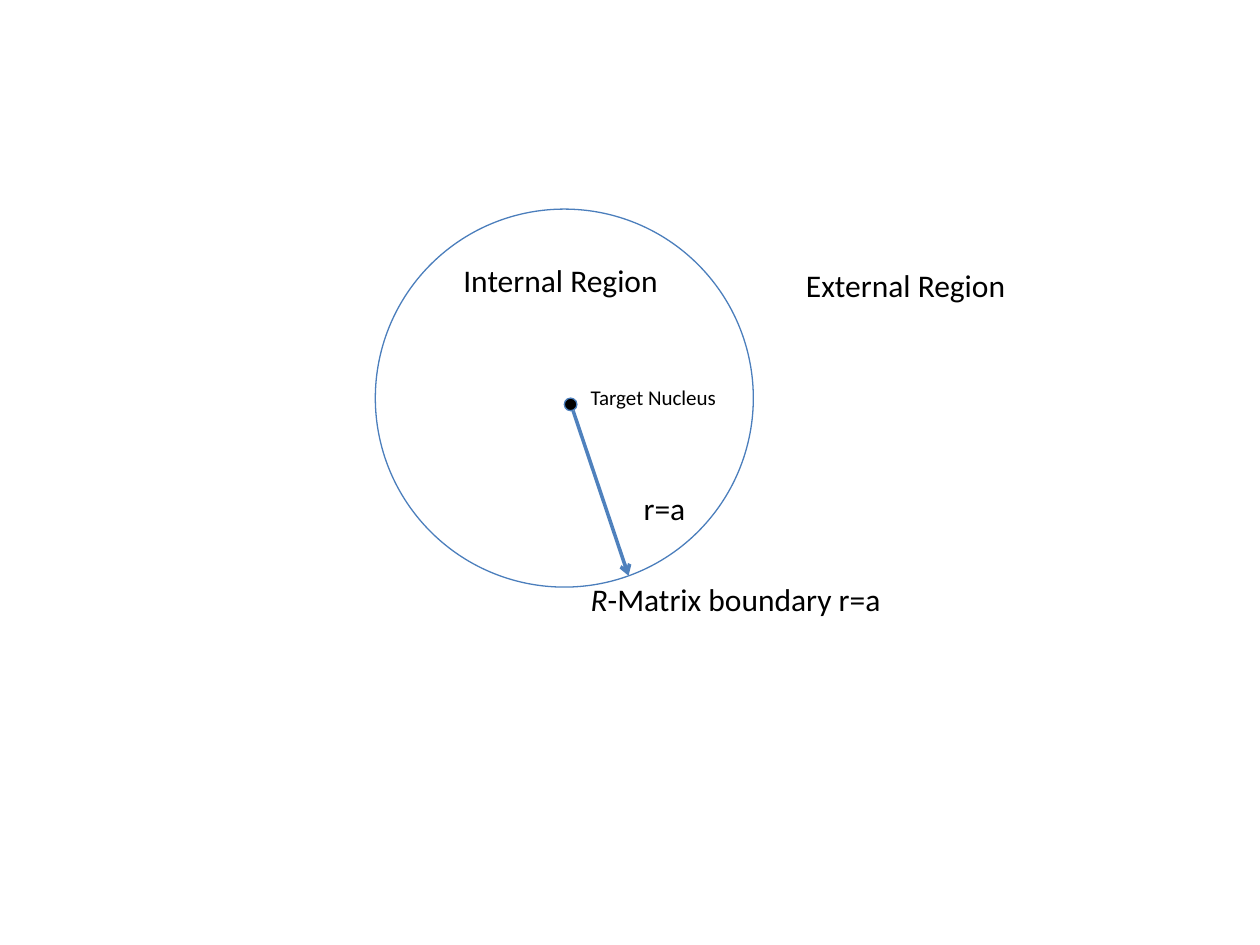
from lxml.etree import SubElement
from pptx import Presentation
from pptx.dml.color import RGBColor
from pptx.enum.shapes import MSO_CONNECTOR as Connector, MSO_SHAPE as Preset
from pptx.enum.text import MSO_AUTO_SIZE as AutoSize
from pptx.oxml.ns import qn
from pptx.util import Pt

BLACK = RGBColor(0x00, 0x00, 0x00)
WHITE = RGBColor(0xFF, 0xFF, 0xFF)
OUTLINE_BLUE = RGBColor(0x4B, 0x7E, 0xBC)
ARROW_BLUE = RGBColor(0x4F, 0x81, 0xBD)

LABELS = [
    ((43.2, 25.9, 128.9, 29), 18, True, [("Internal Region", False)]),
    ((115.9, 96.5, 87.8, 21.8), 12, True, [("Target Nucleus", False)]),
    ((239, 28.8, 149, 29), 18, True, [("External Region", False)]),
    ((115.9, 208.1, 182.2, 29), 18, False,
     [("R", True), ("-Matrix boundary r=a", False)]),
    ((146.2, 156.2, 52.6, 29), 18, True, [("r=a", False)]),
]


def apply_format(target, values):
    for name, value in values.items():
        setattr(target, name, value)


def add_circle(slide, left, top, diameter, fill):
    shape = slide.shapes.add_shape(
        Preset.OVAL, Pt(left), Pt(top), Pt(diameter), Pt(diameter))
    shape.shadow.inherit = False
    shape.fill.solid()
    shape.fill.fore_color.rgb = fill
    shape.line.color.rgb = OUTLINE_BLUE
    shape.line.width = Pt(0.75)


def add_label(slide, left, top, width, height, size, wrap, runs):
    shape = slide.shapes.add_textbox(Pt(left), Pt(top), Pt(width), Pt(height))
    apply_format(shape.text_frame, {
        "word_wrap": wrap, "auto_size": AutoSize.SHAPE_TO_FIT_TEXT})
    paragraph = shape.text_frame.paragraphs[0]
    for text, italic in runs:
        run = paragraph.add_run()
        run.text = text
        apply_format(run.font, {
            "name": "Calibri", "size": Pt(size), "italic": italic})
        run.font.color.rgb = BLACK


def add_radius_arrow(slide, start, end):
    connector = slide.shapes.add_connector(
        Connector.STRAIGHT, *(Pt(value) for value in start + end))
    connector.line.color.rgb = ARROW_BLUE
    connector.line.width = Pt(2)
    SubElement(connector.line._get_or_add_ln(), qn("a:tailEnd"), type="arrow")
    SubElement(connector._element.spPr, qn("a:effectLst"))


def add_matrix_diagram(slide, left, top, diameter):
    radius = diameter / 2
    add_circle(slide, left, top, diameter, WHITE)
    add_circle(slide, left + radius, top + radius, 7.2, BLACK)
    for (dx, dy, width, height), size, wrap, runs in LABELS:
        add_label(slide, left + dx, top + dy, width, height, size, wrap, runs)
    add_radius_arrow(slide, (left + 113, top + 115.2),
                     (left + 144.7, top + 209.5))


presentation = Presentation()
apply_format(presentation, {"slide_width": Pt(720), "slide_height": Pt(540)})
slide = presentation.slides.add_slide(presentation.slide_layouts[6])
add_matrix_diagram(slide, 214.5, 119.5, 216)
presentation.save("out.pptx")
